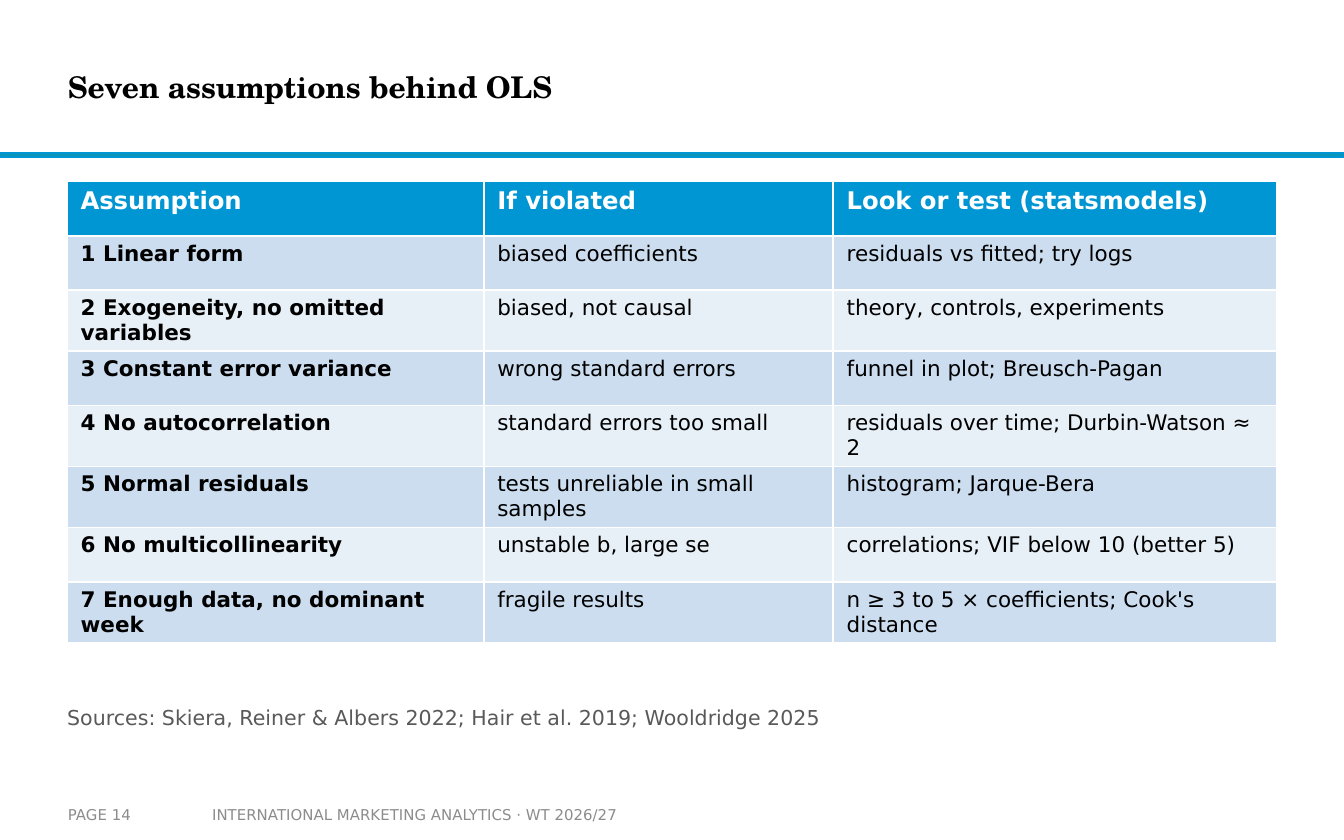
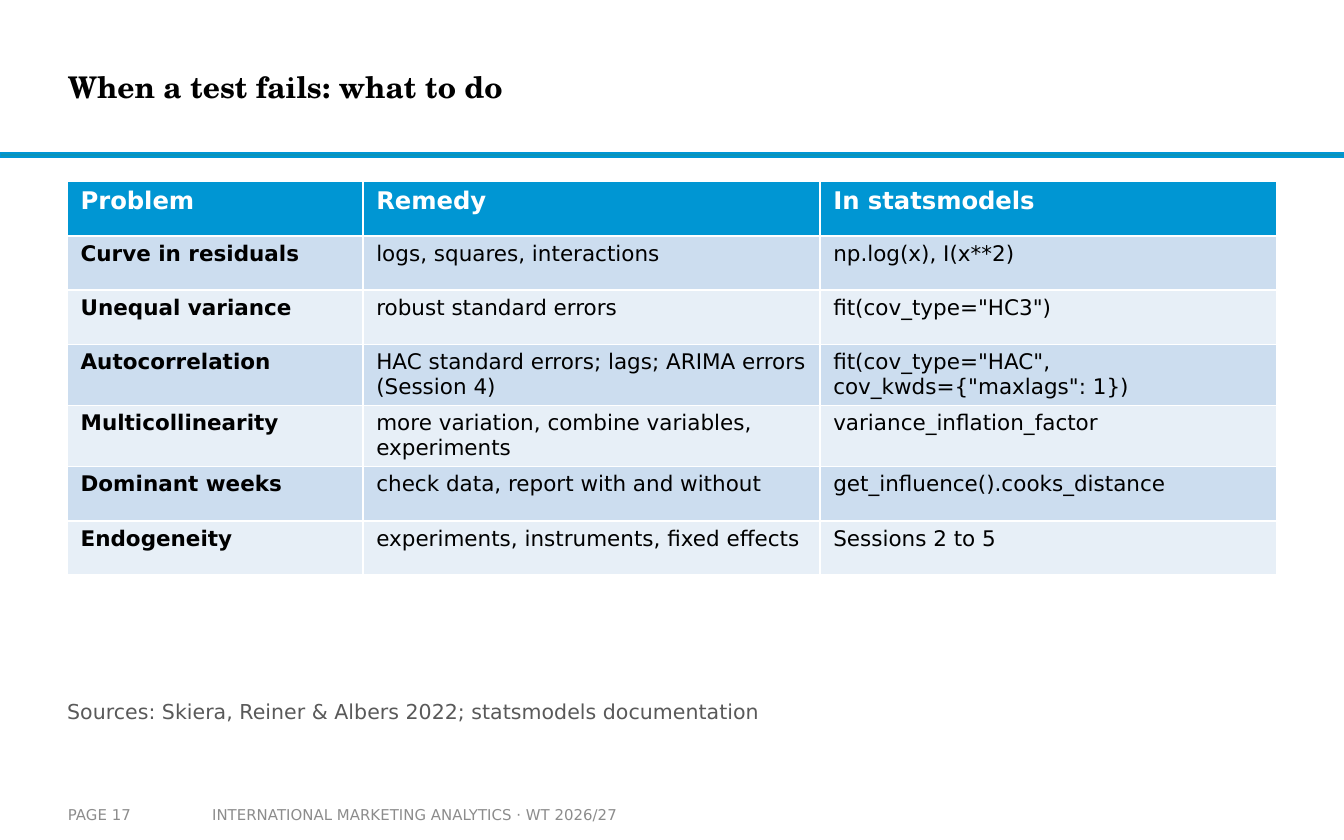
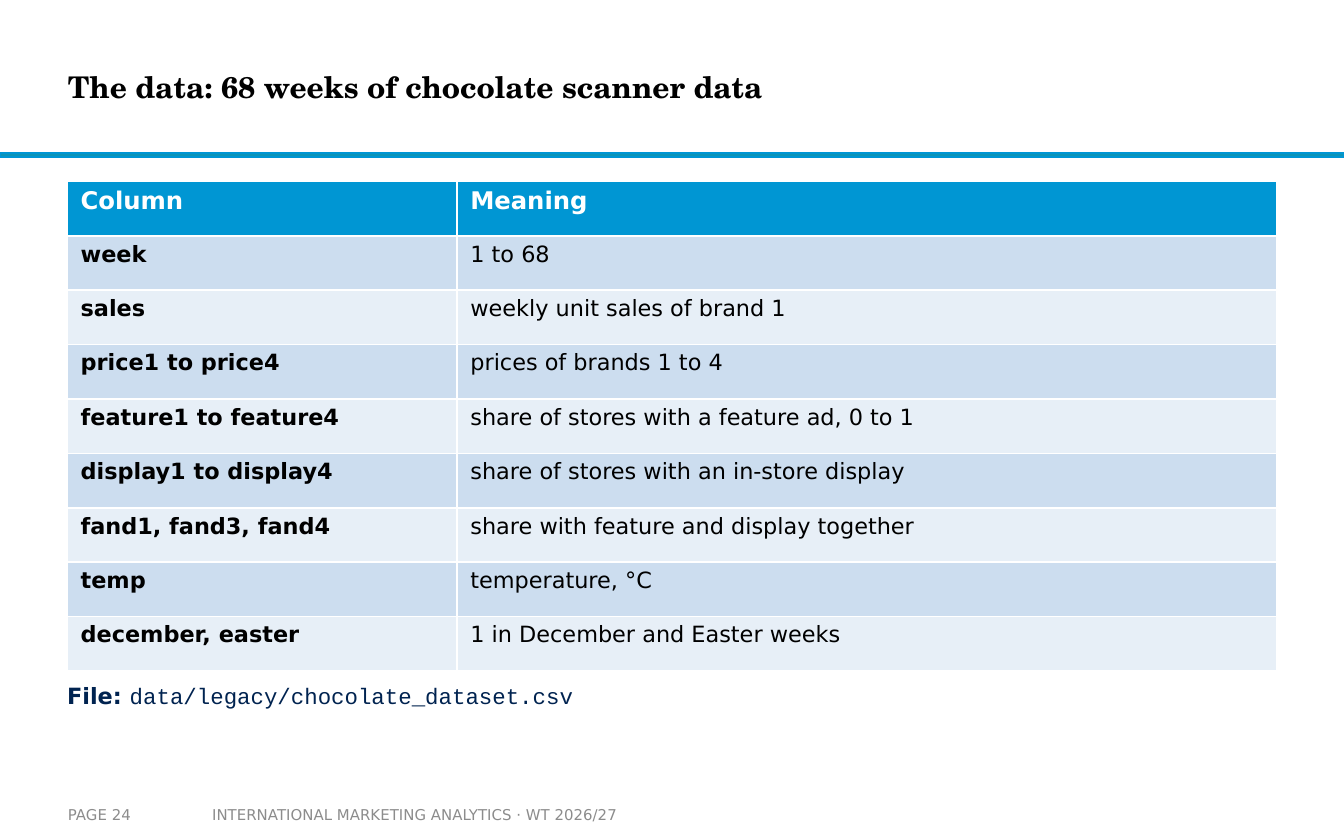
from dataclasses import dataclass

from pptx import Presentation
from pptx import util as u
from pptx.dml.color import RGBColor
from pptx.enum import shapes, text

COURSE = "INTERNATIONAL MARKETING ANALYTICS · WT 2026/27"

SLIDES = [
    {
        "title": "Seven assumptions behind OLS",
        "page": 14,
        "columns": [620, 520, 660],
        "body_size": 11.5,
        "rows": [
            ("Assumption", "If violated", "Look or test (statsmodels)"),
            ("1 Linear form", "biased coefficients", "residuals vs fitted; try logs"),
            ("2 Exogeneity, no omitted variables", "biased, not causal", "theory, controls, experiments"),
            ("3 Constant error variance", "wrong standard errors", "funnel in plot; Breusch-Pagan"),
            ("4 No autocorrelation", "standard errors too small", "residuals over time; Durbin-Watson ≈ 2"),
            ("5 Normal residuals", "tests unreliable in small samples", "histogram; Jarque-Bera"),
            ("6 No multicollinearity", "unstable b, large se", "correlations; VIF below 10 (better 5)"),
            ("7 Enough data, no dominant week", "fragile results", "n ≥ 3 to 5 × coefficients; Cook's distance"),
        ],
        "note_top": 1040,
        "sources": "Sources: Skiera, Reiner & Albers 2022; Hair et al. 2019; Wooldridge 2025",
    },
    {
        "title": "When a test fails: what to do",
        "page": 17,
        "columns": [440, 680, 680],
        "body_size": 11.5,
        "rows": [
            ("Problem", "Remedy", "In statsmodels"),
            ("Curve in residuals", "logs, squares, interactions", "np.log(x), I(x**2)"),
            ("Unequal variance", "robust standard errors", 'fit(cov_type="HC3")'),
            ("Autocorrelation", "HAC standard errors; lags; ARIMA errors (Session 4)",
             'fit(cov_type="HAC", cov_kwds={"maxlags": 1})'),
            ("Multicollinearity", "more variation, combine variables, experiments", "variance_inflation_factor"),
            ("Dominant weeks", "check data, report with and without", "get_influence().cooks_distance"),
            ("Endogeneity", "experiments, instruments, fixed effects", "Sessions 2 to 5"),
        ],
        "note_top": 1030,
        "sources": "Sources: Skiera, Reiner & Albers 2022; statsmodels documentation",
    },
    {
        "title": "The data: 68 weeks of chocolate scanner data",
        "page": 24,
        "columns": [580, 1220],
        "body_size": 12,
        "rows": [
            ("Column", "Meaning"),
            ("week", "1 to 68"),
            ("sales", "weekly unit sales of brand 1"),
            ("price1 to price4", "prices of brands 1 to 4"),
            ("feature1 to feature4", "share of stores with a feature ad, 0 to 1"),
            ("display1 to display4", "share of stores with an in-store display"),
            ("fand1, fand3, fand4", "share with feature and display together"),
            ("temp", "temperature, °C"),
            ("december, easter", "1 in December and Easter weeks"),
        ],
        "note_top": 1000,
        "file": "data/legacy/chocolate_dataset.csv",
    },
]


@dataclass(frozen=True)
class Theme:
    sans: str = "DejaVu Sans"
    serif: str = "TeX Gyre Schola"
    mono: str = "Courier New"
    black: str = "000000"
    white: str = "FFFFFF"
    blue: str = "0096D3"
    rule: str = "0C94B7"
    navy: str = "002350"
    source: str = "595959"
    footer: str = "8C8C8C"
    bands: tuple = ("E7EFF7", "CCDDEF")
    title_size: float = 16
    header_size: float = 13
    file_size: float = 12
    source_size: float = 11
    footer_size: float = 8


THEME = Theme()
PX = u.Inches(1) // 200
SLIDE_SIZE = (2000, 1250)
TABLE_LEFT, TABLE_TOP, ROW_HEIGHT = 100, 270, 81
TITLE_BOX = (101, 30, 1496, 198)
RULE_BOX = (0, 228, 2000, 6)
PAGE_BOX = (101, 1184, 196, 56)
COURSE_BOX = (296, 1184, 704, 56)


def emu(*lengths):
    return [u.Emu(length * PX) for length in lengths]


def color(value):
    return RGBColor.from_string(value)


def write(paragraph, content, font=THEME.sans, size=12, ink=THEME.black, bold=False):
    run = paragraph.add_run()
    run.text = content
    run.font.name = font
    run.font.size = u.Pt(size)
    run.font.bold = bold
    run.font.color.rgb = color(ink)


def set_frame(frame, side=0, edge=0):
    frame.word_wrap = True
    frame.auto_size = text.MSO_AUTO_SIZE.NONE
    frame.vertical_anchor = text.MSO_ANCHOR.MIDDLE
    frame.margin_left, frame.margin_right, frame.margin_top, frame.margin_bottom = emu(side, side, edge, edge)
    paragraph = frame.paragraphs[0]
    paragraph.alignment = text.PP_ALIGN.LEFT
    return paragraph


def add_box(slide, box, **margins):
    return set_frame(slide.shapes.add_textbox(*emu(*box)).text_frame, **margins)


def add_rule(slide, layout):
    rule = slide.shapes.add_shape(shapes.MSO_SHAPE.RECTANGLE, *emu(*RULE_BOX))
    rule.shadow.inherit = False
    rule.fill.solid()
    rule.fill.fore_color.rgb = color(THEME.rule)
    rule.line.color.rgb = color(THEME.blue)
    rule.line.width = u.Pt(1)
    rule.element.nvSpPr.cNvPr.set("id", "20")
    layout.shapes.element.append(rule.element)


def add_title(slide, title):
    placeholder = slide.shapes.title
    placeholder.left, placeholder.top, placeholder.width, placeholder.height = emu(*TITLE_BOX)
    write(set_frame(placeholder.text_frame), title, font=THEME.serif, size=THEME.title_size, bold=True)


def add_table(slide, rows, columns, body_size):
    box = (TABLE_LEFT, TABLE_TOP, sum(columns), ROW_HEIGHT * len(rows))
    table = slide.shapes.add_table(len(rows), len(columns), *emu(*box)).table
    for column, width in zip(table.columns, emu(*columns)):
        column.width = width
    for row_index, row in enumerate(rows):
        header = row_index == 0
        table.rows[row_index].height = u.Emu(ROW_HEIGHT * PX)
        for column_index, content in enumerate(row):
            cell = table.cell(row_index, column_index)
            cell.margin_left, cell.margin_right, cell.margin_top, cell.margin_bottom = emu(20, 20, 8, 8)
            cell.fill.solid()
            cell.fill.fore_color.rgb = color(THEME.blue if header else THEME.bands[row_index % 2])
            write(
                cell.text_frame.paragraphs[0],
                content,
                size=THEME.header_size if header else body_size,
                ink=THEME.white if header else THEME.black,
                bold=header or column_index == 0,
            )


def add_note(slide, content):
    height = 70 if "file" in content else 56
    paragraph = add_box(slide, (TABLE_LEFT, content["note_top"], 1800, height))
    paragraph.space_after = u.Pt(4)
    if "file" in content:
        write(paragraph, "File: ", size=THEME.file_size, ink=THEME.navy, bold=True)
        write(paragraph, content["file"], font=THEME.mono, size=THEME.file_size, ink=THEME.navy)
    else:
        write(paragraph, content["sources"], size=THEME.source_size, ink=THEME.source)


def add_footer(slide, page):
    for box, side, content in ((COURSE_BOX, 20, COURSE), (PAGE_BOX, 0, f"PAGE {page}")):
        write(add_box(slide, box, side=side, edge=10), content, size=THEME.footer_size, ink=THEME.footer)


def main():
    presentation = Presentation()
    presentation.slide_width, presentation.slide_height = emu(*SLIDE_SIZE)
    layout = presentation.slide_layouts.get_by_name("Title Only")
    for index, content in enumerate(SLIDES):
        slide = presentation.slides.add_slide(layout)
        if index == 0:
            add_rule(slide, layout)
        add_title(slide, content["title"])
        add_table(slide, content["rows"], content["columns"], content["body_size"])
        add_note(slide, content)
        add_footer(slide, content["page"])
    presentation.save("out.pptx")


if __name__ == "__main__":
    main()
